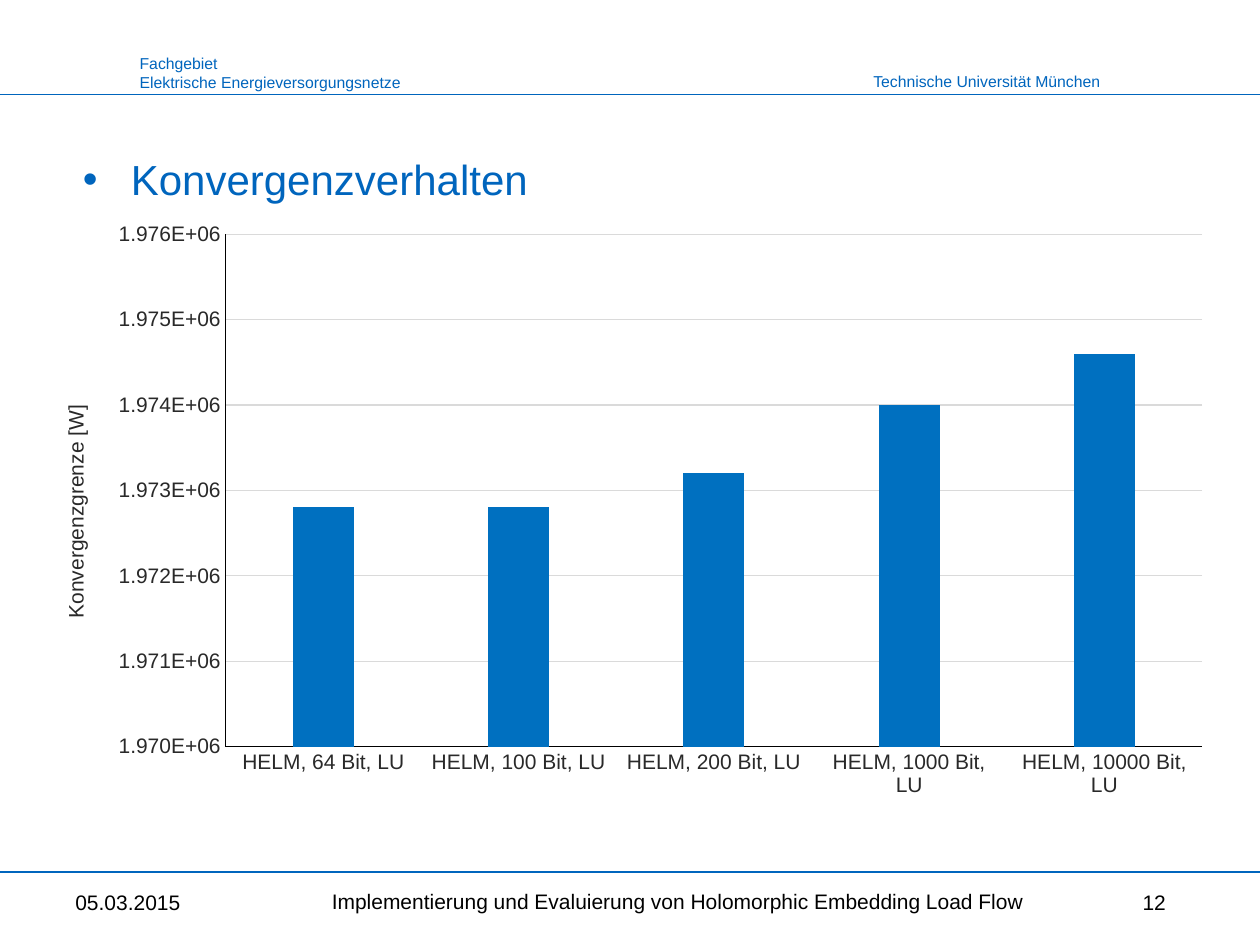
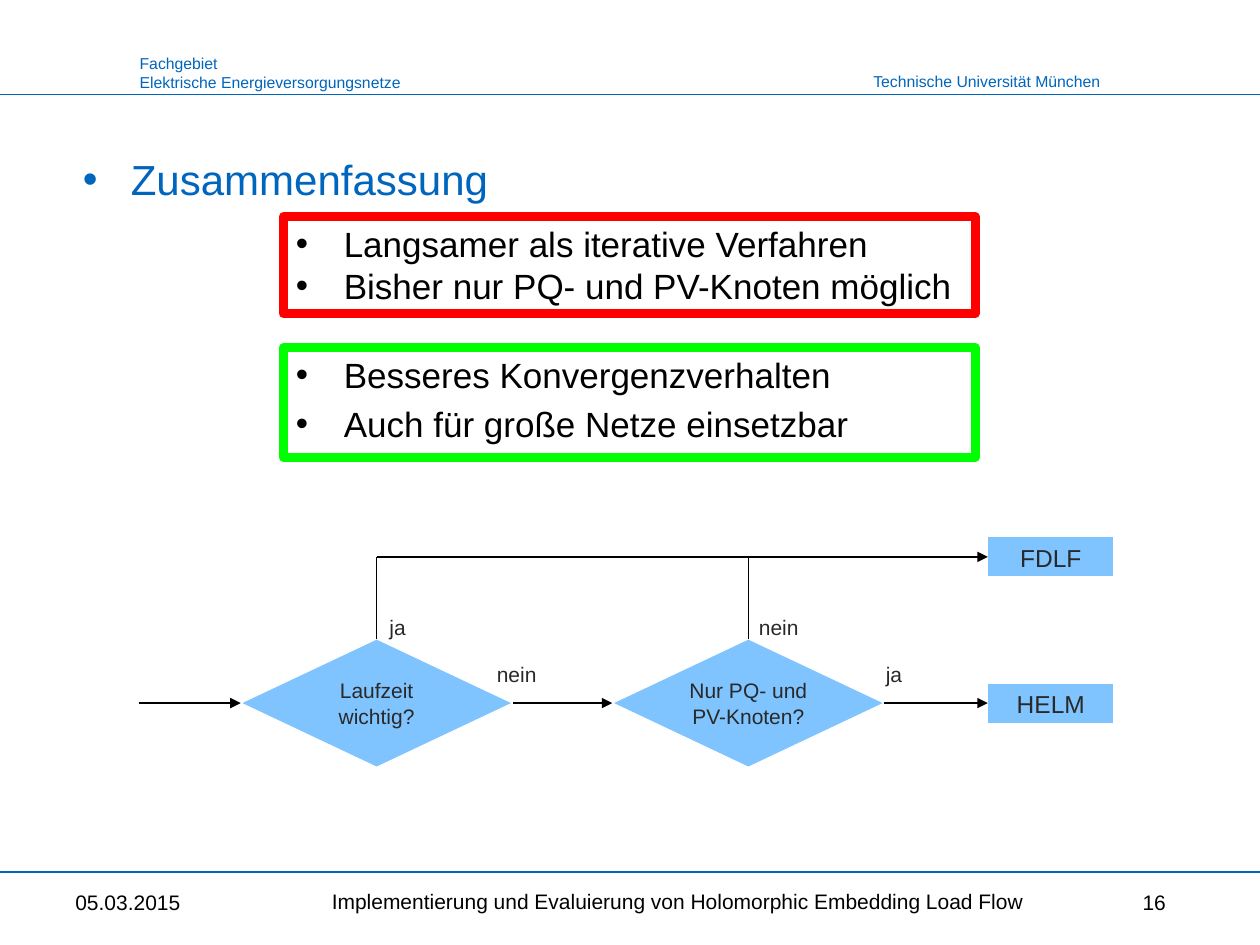
from collections import namedtuple

from lxml.etree import SubElement
from pptx import Presentation
from pptx.chart.data import CategoryChartData
from pptx.dml.color import RGBColor
from pptx.enum.chart import XL_CHART_TYPE, XL_TICK_MARK
from pptx.enum.shapes import MSO_CONNECTOR, MSO_SHAPE
from pptx.enum.text import MSO_ANCHOR, PP_ALIGN
from pptx.oxml import parse_xml
from pptx.oxml.ns import nsdecls, qn
from pptx.util import Emu, Pt

PX = 9144
FONT = "Arial"
BLUE = RGBColor(0x00, 0x65, 0xBD)
BAR_BLUE = RGBColor(0x00, 0x70, 0xC0)
LIGHT_BLUE = RGBColor(0x7F, 0xC3, 0xFF)
BLACK = RGBColor(0x00, 0x00, 0x00)
DARK = RGBColor(0x29, 0x29, 0x29)
WHITE = RGBColor(0xFF, 0xFF, 0xFF)
GRID = RGBColor(0xDA, 0xDA, 0xDA)
RED = RGBColor(0xFF, 0x00, 0x00)
GREEN = RGBColor(0x00, 0xFF, 0x00)

LEFT, CENTER, RIGHT = PP_ALIGN.LEFT, PP_ALIGN.CENTER, PP_ALIGN.RIGHT
TOP_SIDE, LEFT_SIDE, RIGHT_SIDE = 0, 1, 3

Box = namedtuple("Box", "left top width height")
SLIDE = Box(0, 0, 1000, 750)
TITLE = Box(56, 100, 889, 67)
CHART = Box(28, 167, 945, 473)
DRAWBACKS = Box(225, 172, 549, 77)
BENEFITS = Box(225, 276, 549, 87)
FLOWCHART = Box(110, 426, 774, 183)


def px(*lengths):
    return [Emu(length * PX) for length in lengths]


def add_bullet(paragraph):
    properties = paragraph._p.get_or_add_pPr()
    properties.set("marL", str(38 * PX))
    properties.set("indent", str(-38 * PX))
    SubElement(properties, qn("a:buFont"), typeface=FONT)
    SubElement(properties, qn("a:buChar"), char="•")


def write(shape, lines, size, color, align=LEFT, anchor=MSO_ANCHOR.TOP,
          wrap=True, bullets=False, space_before=0, line_spacing=None):
    frame = shape.text_frame
    frame.word_wrap = wrap
    frame.vertical_anchor = anchor
    for index, line in enumerate(lines):
        paragraph = frame.add_paragraph() if index else frame.paragraphs[0]
        paragraph.alignment = align
        paragraph.space_before = Pt(space_before)
        if line_spacing:
            paragraph.line_spacing = line_spacing
        if bullets:
            add_bullet(paragraph)
        run = paragraph.add_run()
        run.text = line
        run.font.name = FONT
        run.font.size = Pt(size)
        run.font.color.rgb = color


def add_text(slide, box, lines, size, color, **options):
    write(slide.shapes.add_textbox(*px(*box)), lines, size, color, **options)


def add_outlined(slide, kind, box, line_color, line_width, fill=None):
    shape = slide.shapes.add_shape(kind, *px(*box))
    shape.shadow.inherit = False
    if fill is None:
        shape.fill.background()
    else:
        shape.fill.solid()
        shape.fill.fore_color.rgb = fill
    shape.line.color.rgb = line_color
    shape.line.width = Pt(line_width)
    return shape


def add_line(slide, start, end, color=BLACK, arrow=False,
             begin_joint=None, end_joint=None):
    line = slide.shapes.add_connector(MSO_CONNECTOR.STRAIGHT, *px(*start, *end))
    line.line.color.rgb = color
    line.line.width = Pt(0.75)
    if arrow:
        SubElement(line.line._get_or_add_ln(), qn("a:tailEnd"), type="triangle")
    SubElement(line._element.spPr, qn("a:effectLst"))
    if begin_joint:
        line.begin_connect(*begin_joint)
    if end_joint:
        line.end_connect(*end_joint)


def add_header(slide, box):
    add_text(slide, Box(box.left + 680, box.top + 52, 203, 25),
             ["Technische Universität München"], 9, BLUE, align=RIGHT, wrap=False)
    add_text(slide, Box(box.left + 101, box.top + 38, 232, 40),
             ["Fachgebiet", "Elektrische Energieversorgungsnetze"], 9, BLUE, wrap=False)
    rule = box.top + 75
    add_line(slide, (box.left, rule), (box.left + box.width, rule), BLUE)


def add_footer(slide, box, number):
    rule = box.top + 692
    add_line(slide, (box.left, rule), (box.left + box.width, rule), BLUE)
    add_text(slide, Box(box.left + 50, rule + 9, 130, 34), ["05.03.2015"], 12, BLACK)
    add_text(slide, Box(box.left + 897, rule + 9, 53, 34), [str(number)], 12, BLACK)
    add_text(slide, Box(box.left + 192, rule + 8, 692, 33),
             ["Implementierung und Evaluierung von Holomorphic Embedding Load Flow"],
             12, BLACK, align=CENTER)


def add_base_slide(presentation, title, number):
    slide = presentation.slides.add_slide(presentation.slide_layouts[6])
    add_header(slide, SLIDE)
    add_footer(slide, SLIDE, number)
    add_text(slide, TITLE, [title], 24, BLUE, anchor=MSO_ANCHOR.BOTTOM,
             bullets=True, line_spacing=2)
    return slide


def set_layout(element, before, **fractions):
    layout = element.find(qn("c:layout"))
    if layout is not None:
        element.remove(layout)
    target = '<c:layoutTarget val="inner"/>' if "w" in fractions else ""
    modes = "".join(f'<c:{key}Mode val="edge"/>' for key in "xy")
    values = "".join(f'<c:{key} val="{value}"/>' for key, value in fractions.items())
    layout = parse_xml(f'<c:layout {nsdecls("c")}><c:manualLayout>{target}{modes}{values}'
                       "</c:manualLayout></c:layout>")
    element.find(qn(before)).addprevious(layout)


def style_font(font):
    font.name = FONT
    font.size = Pt(12)
    font.bold = False
    font.color.rgb = DARK


def add_convergence_chart(slide, box):
    data = CategoryChartData()
    data.categories = [f"HELM, {bits} Bit, LU" for bits in (64, 100, 200, 1000, 10000)]
    data.add_series("Series 1", (1972800, 1972800, 1973200, 1974000, 1974600))
    chart = slide.shapes.add_chart(XL_CHART_TYPE.COLUMN_CLUSTERED, *px(*box), data).chart
    chart.has_legend = False
    chart.has_title = False
    style_font(chart.font)

    plot = chart.plots[0]
    plot.gap_width = 219
    plot.overlap = -27
    plot.vary_by_categories = False
    bars = plot.series[0].format.fill
    bars.solid()
    bars.fore_color.rgb = BAR_BLUE

    values = chart.value_axis
    for axis in (chart.category_axis, values):
        axis.major_tick_mark = axis.minor_tick_mark = XL_TICK_MARK.NONE
        axis.format.line.color.rgb = BLACK
        axis.format.line.width = Pt(0.75)
        style_font(axis.tick_labels.font)
    values.minimum_scale = 1970000
    values.maximum_scale = 1976000
    values.major_unit = 1000
    values.tick_labels.number_format = "0.000E+00"
    values.tick_labels.number_format_is_linked = False
    grid = values.major_gridlines.format.line
    grid.color.rgb = GRID
    grid.width = Pt(0.75)

    frame = values.axis_title.text_frame
    run = frame.paragraphs[0].add_run()
    run.text = "Konvergenzgrenze [W]"
    style_font(run.font)
    frame._txBody.bodyPr.set("rot", "-5400000")
    frame._txBody.bodyPr.set("vert", "horz")
    set_layout(values.axis_title._element, "c:overlay", x=0.02, y=0.32)
    set_layout(chart._chartSpace.chart.plotArea, "c:barChart",
               x=0.16, y=0.04, w=0.82, h=0.86)


def add_statement_box(slide, box, color, lines, space_before=0):
    frame = add_outlined(slide, MSO_SHAPE.RECTANGLE, box, color, 5)
    write(frame, lines, 20, BLACK, bullets=True, space_before=space_before)


def add_result(slide, box, name):
    result = add_outlined(slide, MSO_SHAPE.RECTANGLE, box, WHITE, 0.75, LIGHT_BLUE)
    write(result, [name], 14, DARK, align=CENTER)
    return result


def add_decision(slide, box, question):
    decision = add_outlined(slide, MSO_SHAPE.DIAMOND, box, WHITE, 0.75, LIGHT_BLUE)
    frame = decision.text_frame
    frame.margin_left = frame.margin_right = frame.margin_top = frame.margin_bottom = 0
    write(decision, [question], 12, DARK, align=CENTER, anchor=MSO_ANCHOR.MIDDLE)
    return decision


def add_flowchart(slide, box):
    left, top, width, height = box
    right = left + width - 100
    upper, lower, peak = top + 16, top + 132, top + 81
    fdlf = add_result(slide, Box(right, upper - 16, 100, 32), "FDLF")
    helm = add_result(slide, Box(right, lower - 16, 100, 32), "HELM")
    runtime_left, nodes_left = left + 81, left + 376
    runtime = add_decision(slide, Box(runtime_left, peak, 216, 102), "Laufzeit wichtig?")
    nodes = add_decision(slide, Box(nodes_left, peak, 216, 102), "Nur PQ- und PV-Knoten?")
    runtime_middle, nodes_middle = runtime_left + 108, nodes_left + 108

    add_line(slide, (left, lower), (runtime_left, lower), arrow=True,
             end_joint=(runtime, LEFT_SIDE))
    for source, target in ((runtime, nodes), (nodes, helm)):
        add_line(slide, (left, lower), (right, lower), arrow=True,
                 begin_joint=(source, RIGHT_SIDE), end_joint=(target, LEFT_SIDE))
    for decision, middle in ((runtime, runtime_middle), (nodes, nodes_middle)):
        add_line(slide, (middle, peak), (middle, upper), begin_joint=(decision, TOP_SIDE))
    add_line(slide, (runtime_middle, upper), (nodes_middle, upper))
    add_line(slide, (nodes_middle, upper), (right, upper), arrow=True,
             end_joint=(fdlf, LEFT_SIDE))

    for label, x, y, label_width in (("ja", 189, 57, 33), ("nein", 482, 57, 52),
                                     ("nein", 274, 94, 52), ("ja", 583, 94, 33)):
        add_text(slide, Box(left + x, top + y, label_width, 30), [label], 12, DARK,
                 align=CENTER, wrap=False)


def main():
    presentation = Presentation()
    presentation.slide_width, presentation.slide_height = px(SLIDE.width, SLIDE.height)

    slide = add_base_slide(presentation, "Konvergenzverhalten", 12)
    add_convergence_chart(slide, CHART)

    slide = add_base_slide(presentation, "Zusammenfassung", 16)
    add_statement_box(slide, BENEFITS, GREEN,
                      ["Besseres Konvergenzverhalten", "Auch für große Netze einsetzbar"],
                      space_before=4)
    add_statement_box(slide, DRAWBACKS, RED,
                      ["Langsamer als iterative Verfahren",
                       "Bisher nur PQ- und PV-Knoten möglich"])
    add_flowchart(slide, FLOWCHART)
    presentation.save("out.pptx")


if __name__ == "__main__":
    main()
